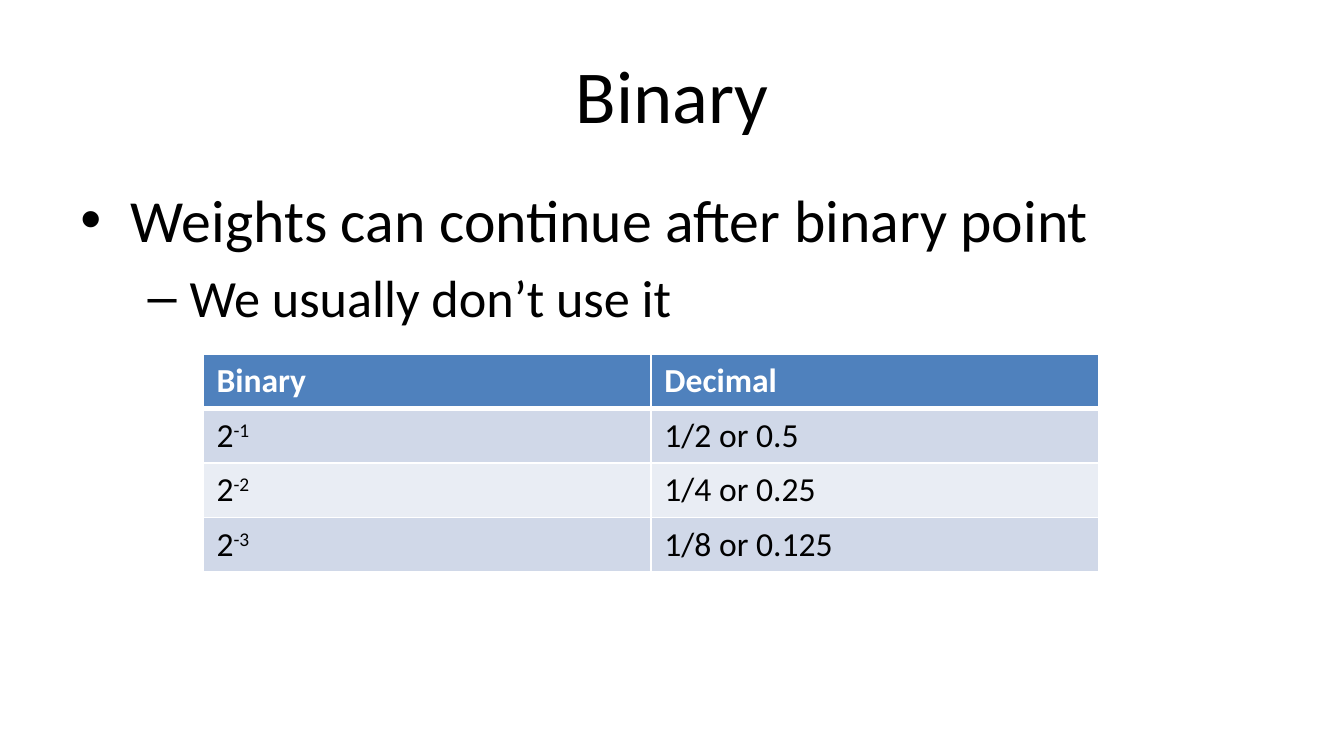
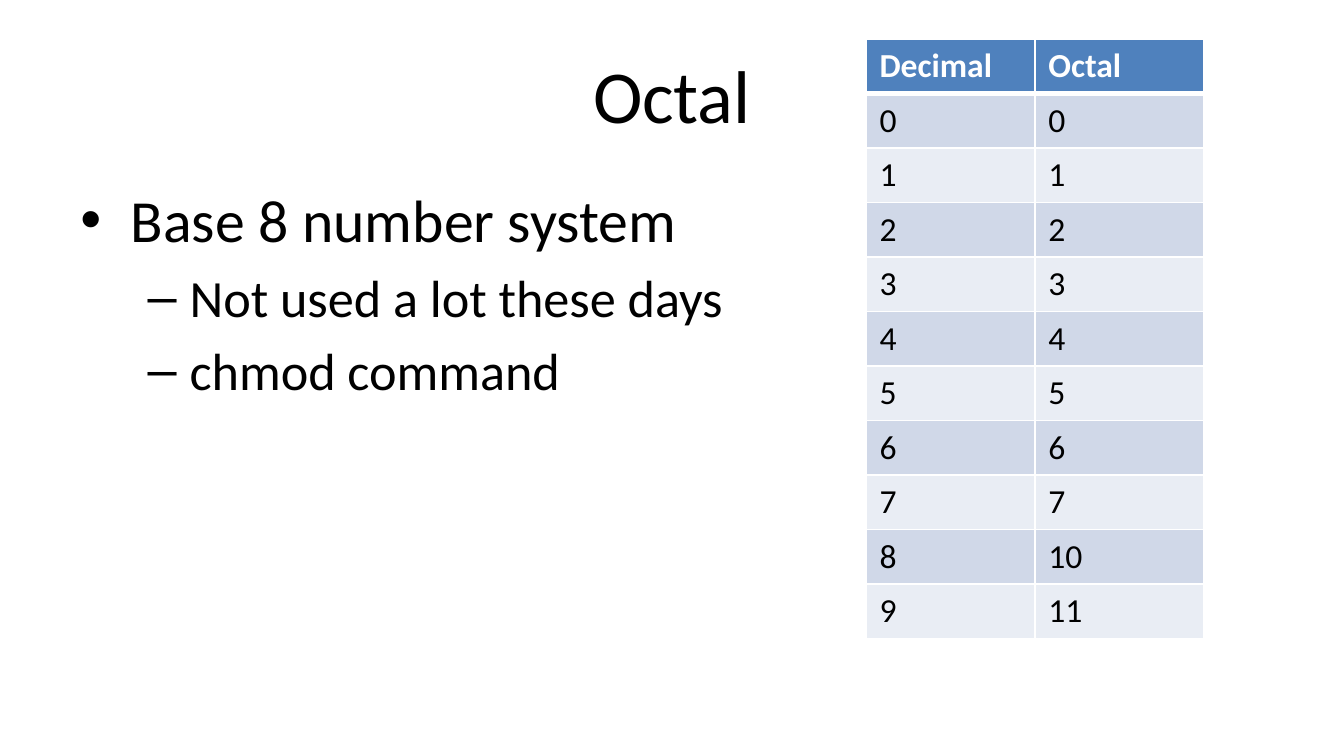
from dataclasses import dataclass

from lxml.etree import SubElement as Sub
from pptx import Presentation as Deck
from pptx.dml.color import RGBColor as RGB
from pptx.enum.text import MSO_ANCHOR as Anchor, PP_ALIGN as Align
from pptx.oxml.ns import qn
from pptx.slide import Slide
from pptx.table import _Cell as Cell
from pptx.text.text import TextFrame as Frame
from pptx.util import Pt

BLACK = RGB(0x00, 0x00, 0x00)
WHITE = RGB(0xFF, 0xFF, 0xFF)
BLUE = RGB(0x4F, 0x81, 0xBD)
BANDS = (RGB(0xE9, 0xED, 0xF4), RGB(0xD0, 0xD8, 0xE8))
FONT = "Calibri"
EDGE, BODY = Pt(36), Pt(648)
ROW = Pt(29.2)


@dataclass(frozen=True)
class Level:
    """Look of one list level."""
    mark: str
    left: Pt
    hang: Pt
    size: int
    gap: Pt


LEVELS = (
    Level("•", Pt(27), Pt(27), 32, Pt(6.4)),
    Level("–", Pt(58.5), Pt(22.5), 28, Pt(5.6)),
)


@dataclass(frozen=True)
class Grid:
    """Place and rows of a table, header first."""
    left: Pt
    top: Pt
    width: Pt
    rows: tuple[tuple[str, ...], ...]


@dataclass(frozen=True)
class Page:
    """Title, list of (level, text) points and table of a slide."""
    title: str
    points: tuple[tuple[int, str], ...]
    grid: Grid


PAGES = (
    Page(
        "Binary",
        ((0, "Weights can continue after binary point"), (1, "We usually don’t use it")),
        Grid(Pt(108.8), Pt(189.6), Pt(480), (
            ("Binary", "Decimal"),
            ("2^-1", "1/2 or 0.5"),
            ("2^-2", "1/4 or 0.25"),
            ("2^-3", "1/8 or 0.125"),
        )),
    ),
    Page(
        "Octal",
        ((0, "Base 8 number system"), (1, "Not used a lot these days"), (1, "chmod command")),
        Grid(Pt(464), Pt(21), Pt(180.8),
             (("Decimal", "Octal"), *((str(n), f"{n:o}") for n in range(10)))),
    ),
)


def write(frame: Frame, text: str, *, size: int, color: RGB = BLACK, bold: bool = False,
          align: Align = Align.LEFT, level: int | None = None) -> None:
    """Write one paragraph; a caret raises the text after it."""
    first = not frame.text
    para = frame.paragraphs[0] if first else frame.add_paragraph()
    if level is not None:
        look = LEVELS[level]
        para.level = level
        props = para._p.get_or_add_pPr()
        props.set("marL", str(look.left))
        props.set("indent", str(-look.hang))
        Sub(props, qn("a:buFont"), typeface="Arial")
        Sub(props, qn("a:buChar"), char=look.mark)
        para.space_before = Pt(0) if first else look.gap
    para.alignment = align
    base, _, power = text.partition("^")
    for part in filter(None, (base, power)):
        run = para.add_run()
        run.text = part
        run.font.name, run.font.size, run.font.bold = FONT, Pt(size), bold
        run.font.color.rgb = color
        if part is power:
            run._r.get_or_add_rPr().set("baseline", "30000")


def add_box(slide: Slide, top: Pt, high: Pt, anchor: Anchor) -> Frame:
    """Add a wrapped text box across the slide."""
    frame = slide.shapes.add_textbox(EDGE, top, BODY, high).text_frame
    frame.word_wrap = True
    frame.vertical_anchor = anchor
    return frame


def rule(cell: Cell, row: int) -> None:
    """Draw white cell borders, thick below the header."""
    props = cell._tc.get_or_add_tcPr()
    thick = {0: "lnB", 1: "lnT"}.get(row)
    for side in ("lnL", "lnR", "lnT", "lnB"):
        line = Sub(props, qn(f"a:{side}"), w=str(Pt(3 if side == thick else 1)))
        Sub(Sub(line, qn("a:solidFill")), qn("a:srgbClr"), val=str(WHITE))


def add_grid(slide: Slide, grid: Grid) -> None:
    """Add a banded table."""
    rows, cols = len(grid.rows), len(grid.rows[0])
    table = slide.shapes.add_table(
        rows, cols, grid.left, grid.top, grid.width, ROW * rows).table
    for r, texts in enumerate(grid.rows):
        head = r == 0
        for c, text in enumerate(texts):
            cell = table.cell(r, c)
            rule(cell, r)
            cell.fill.solid()
            cell.fill.fore_color.rgb = BLUE if head else BANDS[r % 2]
            write(cell.text_frame, text, size=18, bold=head, color=WHITE if head else BLACK)


def add_page(deck: Deck, page: Page) -> None:
    """Add one slide."""
    slide = deck.slides.add_slide(deck.slide_layouts[6])
    title = add_box(slide, Pt(16.5), Pt(67.5), Anchor.MIDDLE)
    write(title, page.title, size=40, align=Align.CENTER)
    body = add_box(slide, Pt(94.5), Pt(267), Anchor.TOP)
    for level, text in page.points:
        write(body, text, size=LEVELS[level].size, level=level)
    add_grid(slide, page.grid)


def main() -> None:
    """Build and save the deck."""
    deck = Deck()
    deck.slide_width, deck.slide_height = Pt(720), Pt(405)
    for page in PAGES:
        add_page(deck, page)
    deck.save("out.pptx")


if __name__ == "__main__":
    main()
